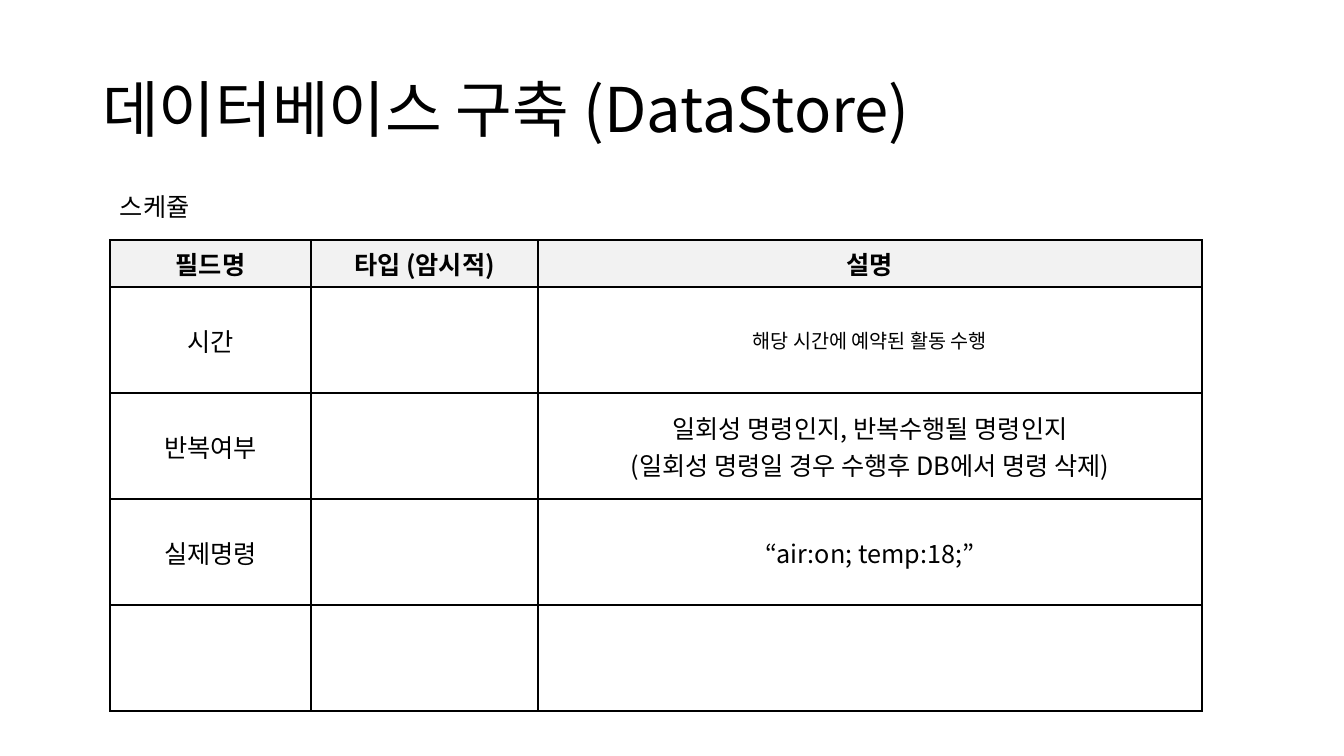
"""Build the schedule field table slide."""
from lxml import etree
from pptx import Presentation
from pptx.dml.color import RGBColor
from pptx.enum.text import MSO_ANCHOR, PP_ALIGN
from pptx.oxml.ns import qn
from pptx.util import Pt

LEFT, CENTER = PP_ALIGN.LEFT, PP_ALIGN.CENTER
MIDDLE = MSO_ANCHOR.MIDDLE
FONT = "Noto Sans CJK KR"
BLACK, HEADER_FILL = "000000", "F2F2F2"
PX = 914400 / 100.8

TITLE = "데이터베이스 구축 (DataStore)"
CAPTION = "스케쥴"
ROWS = [
    ("필드명", "타입 (암시적)", "설명"),
    ("시간", "", "해당 시간에 예약된 활동 수행"),
    ("반복여부", "", "일회성 명령인지, 반복수행될 명령인지\n(일회성 명령일 경우 수행후 DB에서 명령 삭제)"),
    ("실제명령", "", "“air:on; temp:18;”"),
    ("", "", ""),
]
SMALL_CELL = (1, 2)
COLS = [201, 227, 664]
HEIGHTS = [47] + [106] * 4


def px(n):
    return round(n * PX)


def box(*lengths):
    return [px(n) for n in lengths]


def color(value):
    return RGBColor.from_string(value)


def write(tf, text, size, bold=False, align=LEFT):
    tf.text = text
    for p in tf.paragraphs:
        p.alignment = align
        for r in p.runs:
            r.font.size = Pt(size)
            r.font.bold = bold
            r.font.name = FONT
            r.font.color.rgb = color(BLACK)
            etree.SubElement(r.font._element, qn("a:ea"), typeface=FONT)


def add_borders(cell):
    tcPr = cell._tc.get_or_add_tcPr()
    for i, side in enumerate("LRTB"):
        ln = etree.Element(qn("a:ln" + side), w=str(Pt(1)))
        fill = etree.SubElement(ln, qn("a:solidFill"))
        etree.SubElement(fill, qn("a:srgbClr"), val=BLACK)
        tcPr.insert(i, ln)


prs = Presentation()
prs.slide_width, prs.slide_height = px(1344), px(756)
s = prs.slides.add_slide(prs.slide_layouts[5])

title = s.shapes.title
title.left, title.top, title.width, title.height = box(92, 40, 1159, 146)
title.text_frame.vertical_anchor = MIDDLE
write(title.text_frame, TITLE, 44)
title.text_frame.paragraphs[0].line_spacing = 0.9

table = s.shapes.add_table(
    len(ROWS), len(COLS), *box(110, 240, sum(COLS), sum(HEIGHTS))).table
table.first_row = table.horz_banding = False
for col, width in zip(table.columns, COLS):
    col.width = px(width)
for row, height in zip(table.rows, HEIGHTS):
    row.height = px(height)
for i, texts in enumerate(ROWS):
    for j, text in enumerate(texts):
        cell = table.cell(i, j)
        cell.vertical_anchor = MIDDLE
        if i == 0:
            cell.fill.solid()
            cell.fill.fore_color.rgb = color(HEADER_FILL)
        else:
            cell.fill.background()
        add_borders(cell)
        size = 14 if (i, j) == SMALL_CELL else 18
        write(cell.text_frame, text, size, i == 0, CENTER)

caption = s.shapes.add_textbox(*box(110, 186, 97, 40))
caption.text_frame.word_wrap = False
write(caption.text_frame, CAPTION, 18)

prs.save("out.pptx")
